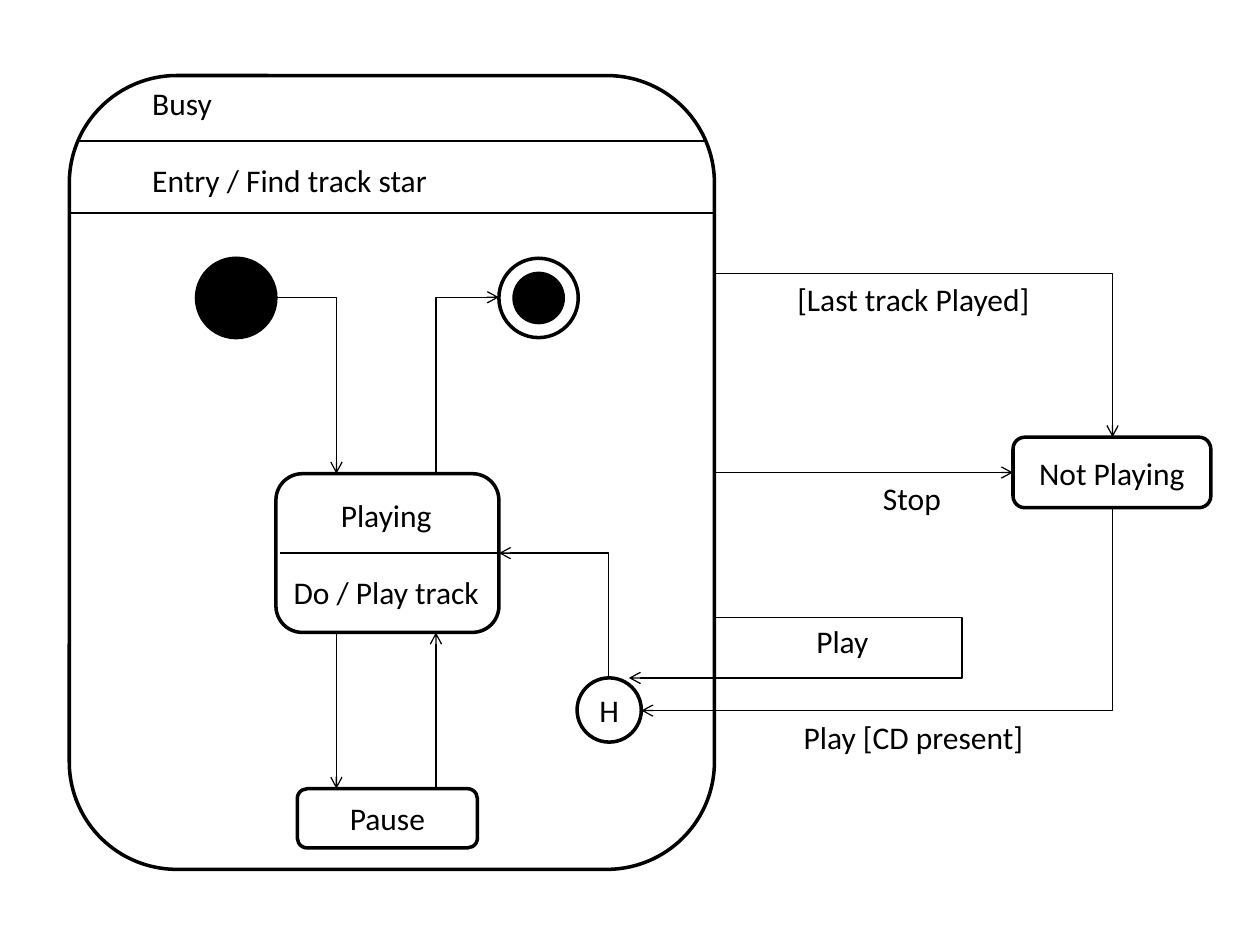
import math

import lxml.etree
import pptx
import pptx.dml.color
import pptx.enum.shapes
import pptx.enum.text
import pptx.oxml.ns
import pptx.util

Inches = pptx.util.Inches
Pt = pptx.util.Pt
qn = pptx.oxml.ns.qn
SHAPE = pptx.enum.shapes.MSO_SHAPE
CONNECTOR = pptx.enum.shapes.MSO_CONNECTOR
ALIGN = pptx.enum.text.PP_ALIGN

BLACK = pptx.dml.color.RGBColor(0, 0, 0)
FONT = "Calibri"
TEXT_SIZE = Pt(18)
LINE_GAP = Pt(22)

# Shared edges of the diagram, in inches
BUSY_LEFT, BUSY_RIGHT = 0.55, 5.67
DOWN_X, UP_X = 2.67, 3.46
PLAYING_TOP, PLAYING_MID, PLAYING_BOTTOM, PLAYING_RIGHT = 3.76, 4.39, 5.02, 3.96
PAUSE_TOP = 6.26
HISTORY_X, HISTORY_TOP = 4.83, 5.38
IDLE_X, IDLE_TOP, IDLE_BOTTOM = 8.83, 3.47, 4.03


def write(tf, lines, align):
    """Fill a text frame with one paragraph per line, spaced by LINE_GAP."""
    for i, line in enumerate(lines):
        p = tf.paragraphs[0] if i == 0 else tf.add_paragraph()
        p.alignment = align
        if i:
            p.space_before = LINE_GAP
        r = p.add_run()
        r.text = line
        r.font.name = FONT
        r.font.size = TEXT_SIZE
        r.font.color.rgb = BLACK


def add_node(s, kind, left, top, width, height, text=None, solid=False):
    """Add an outlined state or circle, optionally filled or labelled."""
    sp = s.shapes.add_shape(kind, Inches(left), Inches(top),
                            Inches(width), Inches(height))
    sp.shadow.inherit = False
    sp.line.color.rgb = BLACK
    sp.line.width = Pt(2)
    if solid:
        sp.fill.solid()
        sp.fill.fore_color.rgb = BLACK
    else:
        sp.fill.background()
    if text:
        sp.text_frame.vertical_anchor = pptx.enum.text.MSO_ANCHOR.MIDDLE
        write(sp.text_frame, [text], ALIGN.CENTER)


def add_label(s, left, top, width, height, *lines, align=ALIGN.LEFT):
    """Add an unwrapped text box."""
    sp = s.shapes.add_textbox(Inches(left), Inches(top),
                              Inches(width), Inches(height))
    tf = sp.text_frame
    tf.word_wrap = False
    tf.auto_size = pptx.enum.text.MSO_AUTO_SIZE.SHAPE_TO_FIT_TEXT
    write(tf, lines, align)


def add_xml(parent, tag, **attributes):
    """Append an XML element with the given attributes."""
    lxml.etree.SubElement(parent, qn(tag), attributes)


def add_line(s, begin, end, arrow=True, preset="line", turn=0, adjust=None):
    """Add a connector; turn rotates the elbow's box, in degrees."""
    (x1, y1), (x2, y2) = begin, end
    cx, cy = (x1 + x2) / 2, (y1 + y2) / 2
    cos, sin = (round(f(math.radians(turn))) for f in (math.cos, math.sin))
    dx, dy = x2 - cx, y2 - cy
    hx, hy = dx * cos + dy * sin, dy * cos - dx * sin
    cxn = s.shapes.add_connector(
        CONNECTOR.STRAIGHT if preset == "line" else CONNECTOR.ELBOW,
        Inches(cx - hx), Inches(cy - hy), Inches(cx + hx), Inches(cy + hy))
    cxn.line.color.rgb = BLACK
    cxn.line.width = Pt(0.75)
    sppr = cxn._element.spPr
    if turn:
        sppr.find(qn("a:xfrm")).set("rot", str(turn * 60000))
    geom = sppr.find(qn("a:prstGeom"))
    geom.set("prst", preset)
    if adjust is not None:
        add_xml(geom.find(qn("a:avLst")), "a:gd", name="adj1",
                fmla=f"val {round(adjust * 100000)}")
    if arrow:
        add_xml(sppr.find(qn("a:ln")), "a:tailEnd", type="arrow")
    add_xml(sppr, "a:effectLst")


def add_states(s):
    """Add the state boxes and the start, end and history circles."""
    box, circle = SHAPE.ROUNDED_RECTANGLE, SHAPE.FLOWCHART_CONNECTOR
    add_node(s, box, BUSY_LEFT, 0.6, BUSY_RIGHT - BUSY_LEFT, 6.3)
    add_node(s, box, 2.19, PLAYING_TOP, 1.77, PLAYING_BOTTOM - PLAYING_TOP)
    add_node(s, box, 2.36, PAUSE_TOP, 1.43, 0.47, "Pause")
    add_node(s, box, 8.04, IDLE_TOP, 1.57, IDLE_BOTTOM - IDLE_TOP, "Not Playing")
    add_node(s, circle, 1.56, 2.05, 0.63, 0.63, solid=True)
    add_node(s, circle, 3.96, 2.05, 0.63, 0.63)
    add_node(s, circle, 4.08, 2.17, 0.39, 0.39, solid=True)
    add_node(s, circle, 4.58, HISTORY_TOP, 0.51, 0.51, "H")


def add_dividers(s):
    """Add the rules that split the Busy and Playing states."""
    for left, right, y in ((0.63, 5.6, 1.12), (BUSY_LEFT, BUSY_RIGHT, 1.69),
                           (2.22, PLAYING_RIGHT, PLAYING_MID)):
        add_line(s, (left, y), (right, y), arrow=False)


def add_transitions(s):
    """Add the straight and bent arrows between states."""
    add_line(s, (DOWN_X, PLAYING_BOTTOM), (DOWN_X, PAUSE_TOP))
    add_line(s, (UP_X, PAUSE_TOP), (UP_X, PLAYING_BOTTOM))
    add_line(s, (BUSY_RIGHT, 3.75), (8.04, 3.75))
    for begin, end, turn in (
            ((2.19, 2.36), (DOWN_X, PLAYING_TOP), 0),
            ((UP_X, PLAYING_TOP), (3.96, 2.36), 90),
            ((BUSY_RIGHT, 2.17), (IDLE_X, IDLE_TOP), 0),
            ((HISTORY_X, HISTORY_TOP), (PLAYING_RIGHT, PLAYING_MID), 270),
            ((IDLE_X, IDLE_BOTTOM), (5.09, 5.64), 90)):
        add_line(s, begin, end, preset="bentConnector2", turn=turn)
    add_line(s, (BUSY_RIGHT, 4.9), (4.99, HISTORY_TOP),
             preset="bentConnector3", turn=180, adjust=-2.89)


def add_labels(s):
    """Add the state texts and the transition names."""
    add_label(s, 1.11, 0.62, 2.41, 1.01, "Busy", "Entry / Find track star")
    add_label(s, 2.22, 3.89, 1.69, 1.01, "Playing", "Do / Play track",
              align=ALIGN.CENTER)
    for left, top, width, text in ((6.23, 2.17, 2.06, "[Last track Played]"),
                                   (6.91, 3.75, 0.67, "Stop"),
                                   (6.38, 4.89, 0.62, "Play"),
                                   (6.28, 5.65, 1.96, "Play [CD present]")):
        add_label(s, left, top, width, 0.4, text)


def main():
    """Build the state diagram slide."""
    prs = pptx.Presentation()
    prs.slide_width, prs.slide_height = Inches(10), Inches(7.5)
    s = prs.slides.add_slide(prs.slide_layouts[6])
    add_states(s)
    add_dividers(s)
    add_transitions(s)
    add_labels(s)
    prs.save("out.pptx")


main()
